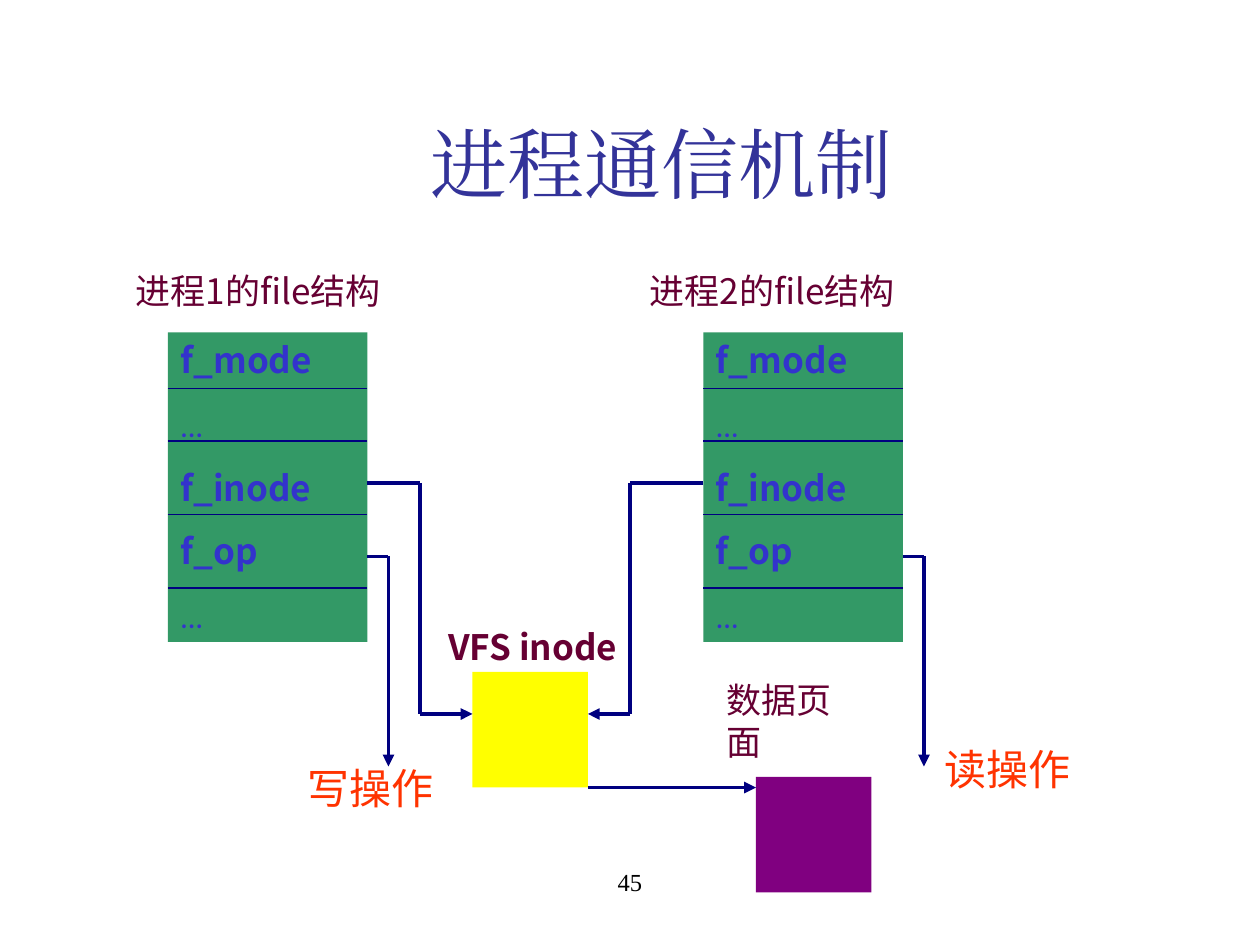
from itertools import pairwise

from lxml import etree
from pptx import Presentation, util as u
from pptx.dml.color import RGBColor
from pptx.enum import shapes, text
from pptx.oxml.ns import qn

# The slide is a grid of 120 columns and 90 rows, 12 to the inch
CELL = u.Inches(1) / 12
NAVY, GREEN, YELLOW, PURPLE = "000080", "339966", "FFFF00", "800080"
WINE, ORANGE, BLUE = "660033", "FF3300", "3333CC"
SANS = "Noto Sans CJK SC"
LABEL = {"size": u.Pt(20), "name": SANS}
FIELDS = ["f_mode", "…", "f_inode", "f_op", "…"]
RULES = [37, 42, 49, 56]


def grid(*values):
    return [u.Emu(round(value * CELL)) for value in values]


def paint(target, colour):
    target.rgb = RGBColor.from_string(colour)


def write(para, words, style, colour):
    span = para.add_run()
    span.text = words
    for key, value in style.items():
        setattr(span.font, key, value)
    paint(span.font.color, colour)
    # The Chinese characters take the same typeface as the Latin ones
    latin = span.font._element.find(qn("a:latin"))
    east = etree.Element(qn("a:ea"), typeface=style["name"])
    latin.addnext(east)


def add_label(page, box, words, style, colour, align=text.PP_ALIGN.LEFT,
              anchor=text.MSO_ANCHOR.BOTTOM):
    frame = page.shapes.add_textbox(*grid(*box)).text_frame
    frame.word_wrap = False
    frame.vertical_anchor = anchor
    para = frame.paragraphs[0]
    para.alignment = align
    write(para, words, style, colour)


def add_block(page, box, colour):
    block = page.shapes.add_shape(shapes.MSO_SHAPE.RECTANGLE, *grid(*box))
    block.shadow.inherit = False
    block.fill.solid()
    paint(block.fill.fore_color, colour)
    block.line.fill.background()
    return block


def add_line(page, start, end, width, arrow=False):
    line = page.shapes.add_connector(
        shapes.MSO_CONNECTOR.STRAIGHT, *grid(*start, *end))
    line.line.width = u.Pt(width)
    paint(line.line.color, NAVY)
    if arrow:
        etree.SubElement(line.line._get_or_add_ln(), qn("a:tailEnd"), type="triangle")
    etree.SubElement(line._element.spPr, qn("a:effectLst"))


def add_route(page, points):
    """Join the points with lines; the last one carries the arrowhead."""
    for start, end in pairwise(points):
        add_line(page, start, end, 2.25, arrow=end == points[-1])


def add_file_structure(page, box):
    left, top, width, height = box
    frame = add_block(page, box, GREEN).text_frame
    frame.word_wrap = True
    frame.vertical_anchor = text.MSO_ANCHOR.BOTTOM
    for index, field in enumerate(FIELDS):
        para = frame.paragraphs[0] if index == 0 else frame.add_paragraph()
        para.alignment = text.PP_ALIGN.LEFT
        if index:
            para.space_before = u.Pt(12.5)
        named = field != "…"
        style = {"size": u.Pt(20), "name": SANS if named else "Montserrat", "bold": named}
        write(para, field, style, BLUE)
    for row in RULES:
        add_line(page, (left, row), (left + width, row), 0.75)


def add_title(page, box, words):
    title = page.shapes.title
    title.left, title.top, title.width, title.height = grid(*box)
    title.text_frame.vertical_anchor = text.MSO_ANCHOR.MIDDLE
    para = title.text_frame.paragraphs[0]
    para.alignment = text.PP_ALIGN.CENTER
    write(para, words, {"size": u.Pt(44), "name": "Times New Roman"}, "333399")


def build():
    deck = Presentation()
    deck.slide_width, deck.slide_height = grid(120, 90)
    page = deck.slides.add_slide(deck.slide_layouts[5])
    add_title(page, (12, 8, 102, 15), "进程通信机制")

    # The file structure of each process, with its heading
    for left, heading, words in [(16, 11.75, "进程1的file结构"),
                                 (67, 60.7, "进程2的file结构")]:
        add_file_structure(page, (left, 31.65, 19, 29.5))
        add_label(page, (heading, 25, 31.9, 5.3), words, LABEL, WINE)

    # Shared inode and data page
    add_block(page, (45, 64, 11, 11), YELLOW)
    add_block(page, (72, 74, 11, 11), PURPLE)
    add_label(page, (41.5, 58.9, 20.5, 5.3), "VFS inode", LABEL | {"bold": True}, WINE)
    add_label(page, (68, 67.9, 15.7, 5.3), "数据页面", LABEL, WINE)

    # Pointers from the fields to the inode, the operations and the data
    for points in [
        [(35, 46), (40, 46), (40, 68), (45, 68)],
        [(67, 46), (60, 46), (60, 68), (56, 68)],
        [(35, 53), (37, 53), (37, 73)],
        [(86, 53), (88, 53), (88, 73)],
        [(56, 75), (72, 75)],
    ]:
        add_route(page, points)

    # Operations
    for left, top, words in [(28.1, 72, "写操作"), (88.8, 70.2, "读操作")]:
        add_label(page, (left, top, 14.4, 6), words, LABEL | {"size": u.Pt(24)}, ORANGE)

    # Page number
    add_label(page, (41, 82, 38, 6), "45", {"size": u.Pt(14), "name": "Times New Roman"},
              "000000", text.PP_ALIGN.CENTER, text.MSO_ANCHOR.TOP)
    deck.save("out.pptx")


if __name__ == "__main__":
    build()
